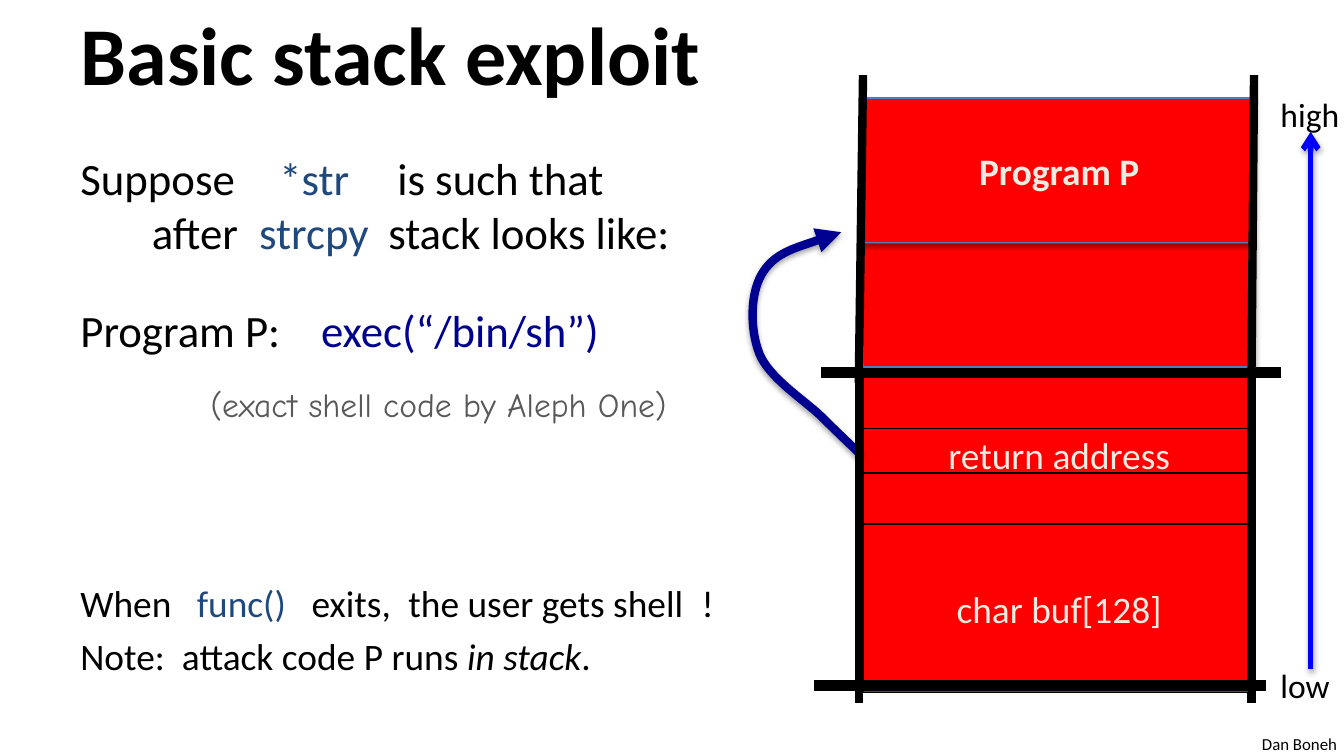
from lxml.etree import SubElement
from pptx import Presentation
from pptx.dml.color import RGBColor
from pptx.enum.shapes import MSO_CONNECTOR, MSO_SHAPE
from pptx.enum.text import MSO_ANCHOR, PP_ALIGN
from pptx.oxml.ns import qn
from pptx.util import Cm, Pt

COLORS = {
    "black": "000000", "red": "FF0000", "cream": "EEECE1", "edge": "4B7EBC",
    "code": "1F497D", "navy": "000090", "blue": "0000FF", "gray": "595959",
}
STACK_LEFT, STACK_WIDTH = 16.31, 7.42


def rgb(name):
    return RGBColor.from_string(COLORS[name])


def write(frame, runs, *, size, color="black", font="Calibri", bold=False,
          align=PP_ALIGN.LEFT, before=0, tabs=(), new=False):
    """Write one paragraph; runs is a string or a list of (text, overrides)."""
    paragraph = frame.add_paragraph() if new else frame.paragraphs[0]
    paragraph.alignment = align
    paragraph.space_before = Pt(before)
    if tabs:
        stops = SubElement(paragraph._p.get_or_add_pPr(), qn("a:tabLst"))
        for stop in tabs:
            SubElement(stops, qn("a:tab"), pos=str(Cm(stop)), algn="l")
    for text, override in [(runs, {})] if isinstance(runs, str) else runs:
        run = paragraph.add_run()
        run.text = text
        run.font.name, run.font.size, run.font.bold = font, Pt(size), bold
        run.font.italic = override.get("italic", False)
        run.font.color.rgb = rgb(override.get("color", color))


def set_effects(shape, shadow):
    """Replace the theme shadow by none, or by a soft one falling downwards."""
    effects = shape._element.spPr.find(qn("a:effectLst"))
    if effects is None:
        effects = SubElement(shape._element.spPr, qn("a:effectLst"))
    if shadow:
        outer = SubElement(effects, qn("a:outerShdw"), blurRad=str(Pt(3.1)),
                           dist=str(Pt(1.7)), dir="5400000", rotWithShape="0")
        tint = SubElement(outer, qn("a:srgbClr"), val=COLORS["black"])
        SubElement(tint, qn("a:alpha"), val="36000")


def set_line(shape, color, width, head=None):
    shape.line.color.rgb = rgb(color)
    shape.line.width = Pt(width)
    if head:
        SubElement(shape.line._get_or_add_ln(), qn("a:tailEnd"), type=head)


def add_block(slide, left, top, width, height, label="", *, fill="red",
              edge="black", weight=0.75, bold=False, shadow=False):
    block = slide.shapes.add_shape(
        MSO_SHAPE.RECTANGLE, Cm(left), Cm(top), Cm(width), Cm(height))
    if fill:
        block.fill.solid()
        block.fill.fore_color.rgb = rgb(fill)
    else:
        block.fill.background()
    set_line(block, edge, weight)
    block.shadow.inherit = False
    set_effects(block, shadow)
    if label:
        block.text_frame.word_wrap = False
        block.text_frame.vertical_anchor = MSO_ANCHOR.MIDDLE
        write(block.text_frame, label, size=20, color="cream", bold=bold,
              align=PP_ALIGN.CENTER)


def add_line(slide, x1, y1, x2, y2, width, color="black", head=None, shadow=False):
    line = slide.shapes.add_connector(
        MSO_CONNECTOR.STRAIGHT, Cm(x1), Cm(y1), Cm(x2), Cm(y2))
    set_line(line, color, width, head)
    set_effects(line, shadow)


def add_curve(slide, points):
    """Draw an arrow along cubic Béziers: a start, then three points per piece."""
    start, *controls = [(Cm(x), Cm(y)) for x, y in points]
    builder = slide.shapes.build_freeform(*start)
    builder.add_line_segments(controls, close=False)
    curve = builder.convert_to_shape()
    outline = next(curve._element.iter(qn("a:path")))
    pieces = outline.findall(qn("a:lnTo"))
    for i in range(0, len(pieces), 3):
        cubic = SubElement(outline, qn("a:cubicBezTo"))
        for piece in pieces[i:i + 3]:
            cubic.append(piece[0])
            outline.remove(piece)
    curve.fill.background()
    set_line(curve, "navy", 4.5, "triangle")
    curve.shadow.inherit = False
    set_effects(curve, True)


def add_label(slide, left, top, width, height, text, **style):
    frame = slide.shapes.add_textbox(
        Cm(left), Cm(top), Cm(width), Cm(height)).text_frame
    frame.word_wrap = False
    write(frame, text, **style)


def add_title(slide, text):
    title = slide.shapes.title
    title.left, title.top, title.width, title.height = (
        Cm(1.27), Cm(-0.13), Cm(15.04), Cm(2.18))
    title.text_frame.vertical_anchor = MSO_ANCHOR.BOTTOM
    write(title.text_frame, text, size=44, bold=True)


def add_explanation(slide):
    frame = slide.shapes.add_textbox(
        Cm(1.27), Cm(2.72), Cm(12.9), Cm(11.63)).text_frame
    frame.word_wrap = True
    code = {"color": "code"}
    write(frame, [("Suppose\t", {}), ("*str\t", code), ("is such that", {})],
          size=24, tabs=(3.76, 5.99))
    write(frame, [("\tafter\t", {}), ("strcpy\t", code), ("stack looks like:", {})],
          size=24, tabs=(1.35, 3.38, 5.82), new=True)
    write(frame, [("Program P:\t", {}), ("exec(“/bin/sh”)", {"color": "navy"})],
          size=24, before=23.8, tabs=(4.55,), new=True)
    write(frame, [("When\t", {}), ("func()\t", code),
                  ("exits,\tthe user gets shell\t!", {})],
          size=20, before=120.2, tabs=(2.2, 4.37, 6.2, 11.74), new=True)
    write(frame, [("Note:\tattack code P runs ", {}),
                  ("in stack", {"italic": True}), (".", {})],
          size=20, before=4, tabs=(1.92,), new=True)


def add_stack(slide):
    for top, height, label in [(7.14, 0.97, ""), (9.91, 3.18, "char buf[128]"),
                               (8.1, 0.97, "return address"), (8.94, 0.97, "")]:
        add_block(slide, STACK_LEFT, top, STACK_WIDTH, height, label)
    add_line(slide, 15.39, 12.95, 23.93, 12.95, 6)
    add_line(slide, 15.52, 7.04, 24.21, 7.04, 6)
    for x in (16.23, 23.65):
        add_line(slide, x, 11.79, x, 13.28, 4.5)
    for top, height, label in [(4.6, 2.34, ""), (1.85, 2.74, "Program P")]:
        add_block(slide, STACK_LEFT, top, STACK_WIDTH, height, label,
                  edge="edge", bold=True, shadow=True)
    for x_top, x_bottom in [(23.7, 23.65), (16.31, 16.23)]:
        add_line(slide, x_top, 1.42, x_bottom, 7.24, 4.5)
    add_curve(slide, [
        (16.26, 8.59),
        (16.05, 8.38), (15.85, 8.2), (15.52, 7.87),
        (15.21, 7.57), (14.53, 7.14), (14.35, 6.68),
        (14.17, 6.22), (14.17, 5.51), (14.43, 5.13),
        (14.68, 4.75), (15.9, 4.39), (15.9, 4.39),
    ])
    add_block(slide, 16.23, 7.04, STACK_WIDTH, 5.91, fill=None, weight=4.5)


def add_address_axis(slide):
    add_line(slide, 24.77, 12.65, 24.77, 2.49, 3, "blue", "arrow", shadow=True)
    add_label(slide, 23.95, 12.45, 1.45, 1.02, "low", size=18)
    add_label(slide, 23.95, 1.65, 1.63, 1.02, "high", size=18)


def main():
    deck = Presentation()
    deck.slide_width, deck.slide_height = Cm(25.4), Cm(14.29)
    slide = deck.slides.add_slide(deck.slide_layouts[5])
    add_title(slide, "Basic stack exploit")
    add_explanation(slide)
    add_label(slide, 3.73, 7.14, 10.03, 1.02, "(exact shell code by Aleph One)",
              size=18, color="gray", font="Comic Neue")
    add_stack(slide)
    add_address_axis(slide)
    add_label(slide, 23.6, 13.74, 1.93, 0.64, "Dan Boneh", size=9)
    deck.save("out.pptx")


if __name__ == "__main__":
    main()
